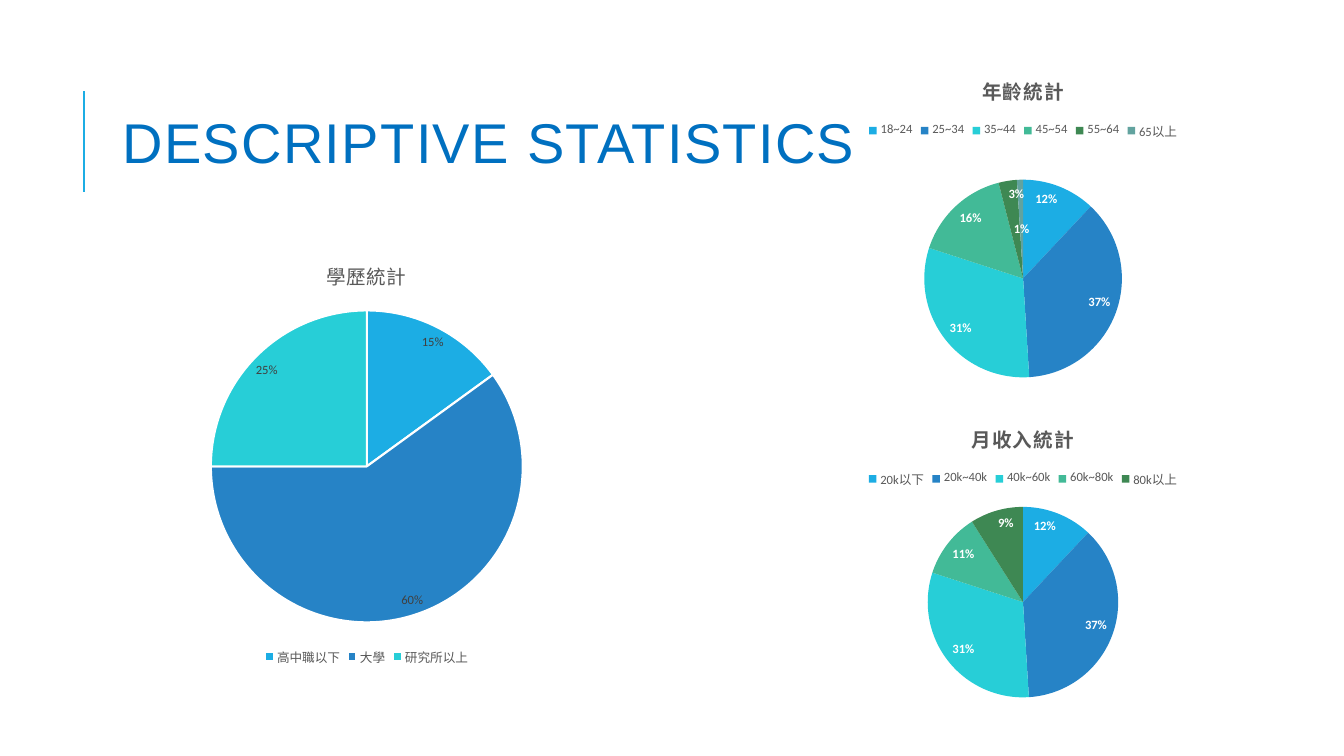
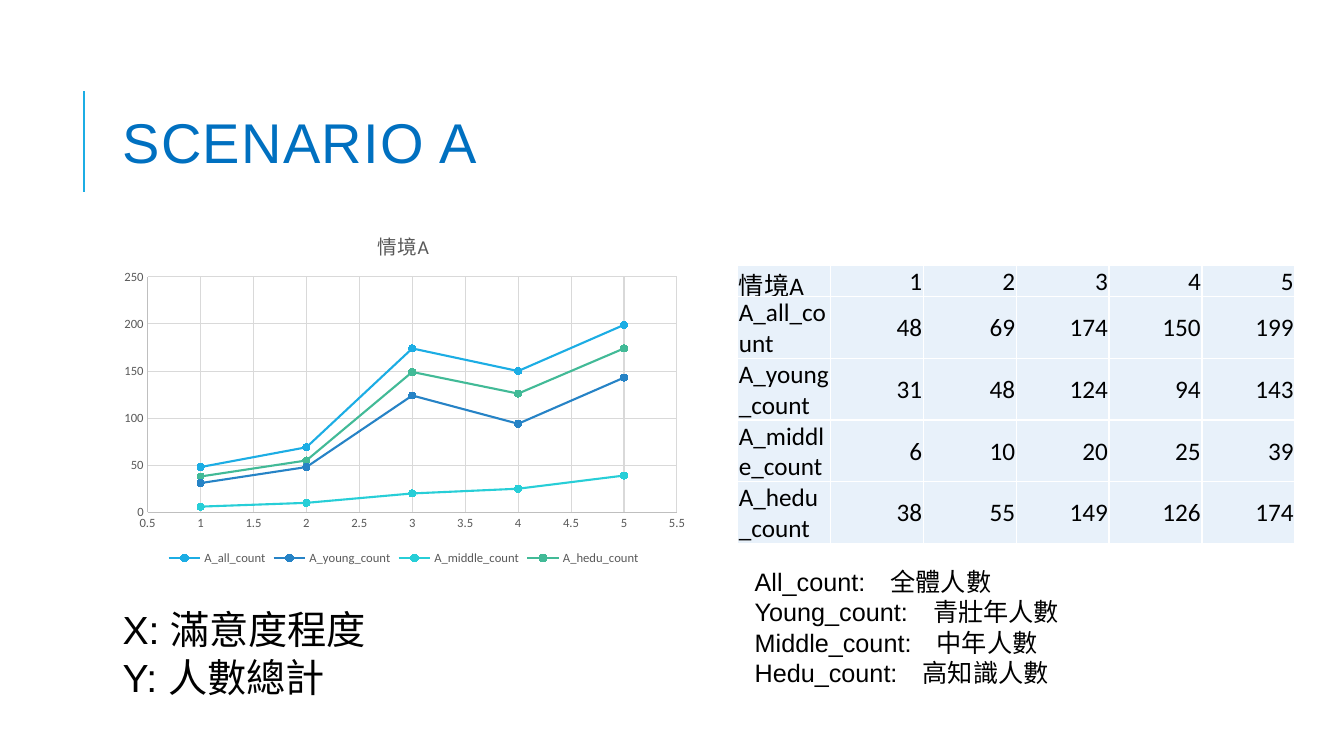
from lxml import etree
from pptx import Presentation
from pptx import util as u
from pptx.chart import data
from pptx.dml.color import RGBColor
from pptx.enum import chart as kinds, shapes, text
from pptx.oxml.ns import qn

HUES = ["1CADE4", "2683C6", "27CED7", "42BA97", "3E8853", "62A39F"]
BLUE, GREY, DARK, BLACK, WHITE = "0070C0", "595959", "404040", "000000", "FFFFFF"
AXIS, GRID, PALE = "BFBFBF", "D9D9D9", "E8F1FA"
PLACE = kinds.XL_LABEL_POSITION
SIDE = kinds.XL_LEGEND_POSITION


def rgb(hue):
    return RGBColor.from_string(hue)


def put(item, **vals):
    for key, val in vals.items():
        setattr(item, key, val)


def cms(*sizes):
    return [u.Cm(size) for size in sizes]


def font(item, size, hue, bold=False, name="Calibri"):
    put(item, size=u.Pt(size), bold=bold, name=name)
    item.color.rgb = rgb(hue)


def fill(item, hue):
    item.solid()
    item.fore_color.rgb = rgb(hue)


def stroke(line, hue, width):
    line.color.rgb = rgb(hue)
    line.width = u.Pt(width)


def space(root, query, points):
    """Set the letter spacing of the matching runs."""
    for run in root.xpath(query):
        run.set("spc", str(int(points * 100)))


class Deck:
    def __init__(self):
        self.show = Presentation()
        put(self.show, slide_width=u.Cm(33.87), slide_height=u.Cm(19.05))

    # Slide with side rule and heading
    def page(self, title):
        self.slide = self.show.slides.add_slide(self.show.slide_layouts[6])
        rule = self.slide.shapes.add_connector(
            shapes.MSO_CONNECTOR.STRAIGHT, *cms(2.11, 4.83, 2.11, 2.29))
        stroke(rule.line, HUES[0], 1.5)
        etree.SubElement(rule.element.xpath("./p:spPr")[0], qn("a:effectLst"))
        box = self.words([title], (2.84, 1.63, 27, 4.17), 40, BLUE)
        put(box.text_frame, vertical_anchor=text.MSO_ANCHOR.MIDDLE,
            auto_size=text.MSO_AUTO_SIZE.NONE)
        box.text_frame.paragraphs[0].line_spacing = 0.8
        space(box.element, ".//a:rPr", 1)

    # Text box, one paragraph a line
    def words(self, lines, at, size, hue=BLACK):
        box = self.slide.shapes.add_textbox(*cms(*at))
        frame = box.text_frame
        put(frame, word_wrap=True, auto_size=text.MSO_AUTO_SIZE.SHAPE_TO_FIT_TEXT)
        for num, line in enumerate(lines):
            para = frame.add_paragraph() if num else frame.paragraphs[0]
            run = para.add_run()
            run.text = line
            font(run.font, size, hue, name="Arial")
        return box

    # Chart frame with title, legend and plot area
    def chart(self, kind, source, at, title, plot, side, bold=False):
        chart = self.slide.shapes.add_chart(kind, *cms(*at), source).chart
        font(chart.font, 10, BLACK)
        put(chart, has_title=True, has_legend=True)
        head = chart.chart_title.text_frame
        head.text = title
        font(head.paragraphs[0].runs[0].font, 14, GREY, bold)
        space(chart.element, ".//c:title//a:rPr", 0.5 if bold else 0)
        put(chart.legend, position=side, include_in_layout=False)
        font(chart.legend.font, 9, GREY)
        area = chart.element.xpath(".//c:plotArea")[0]
        for old in area.xpath("./c:layout"):
            area.remove(old)
        layout = etree.Element(qn("c:layout"))
        area.insert(0, layout)
        manual = etree.SubElement(layout, qn("c:manualLayout"))
        pairs = zip(("layoutTarget", "xMode", "yMode", "x", "y", "w", "h"),
                    ("inner", "edge", "edge", *plot))
        for key, val in pairs:
            etree.SubElement(manual, qn("c:" + key)).set("val", str(val))
        return chart

    # Pie with labels
    def pie(self, title, at, plot, shares, side=SIDE.TOP, hue=WHITE, bold=True,
            place=PLACE.INSIDE_END, whole=True, edge=False):
        source = data.CategoryChartData()
        source.categories = list(shares)
        source.add_series("Series 1", list(shares.values()))
        chart = self.chart(kinds.XL_CHART_TYPE.PIE, source, at, title, plot,
                           side, bold)
        chart.plots[0].vary_by_categories = True
        series = chart.plots[0].series[0]
        for num in range(len(shares)):
            form = series.points[num].format
            fill(form.fill, HUES[num])
            if edge:
                stroke(form.line, WHITE, 1.5)
            else:
                form.line.fill.background()
        labels = series.data_labels
        put(labels, show_value=not whole, show_percentage=whole, position=place,
            number_format="0%", number_format_is_linked=False)
        font(labels.font, 9, hue, bold)
        return chart

    # Smooth scatter chart
    def curves(self, title, at, plot, xs, rows):
        source = data.XyChartData()
        for name, vals in rows.items():
            series = source.add_series(name)
            for x, y in zip(xs, vals):
                series.add_data_point(x, y)
        chart = self.chart(kinds.XL_CHART_TYPE.XY_SCATTER_SMOOTH, source, at,
                           title, plot, SIDE.BOTTOM)
        for series, hue in zip(chart.plots[0].series, HUES):
            series.smooth = True
            stroke(series.format.line, hue, 1.5)
            put(series.marker, style=kinds.XL_MARKER_STYLE.CIRCLE, size=5)
            fill(series.marker.format.fill, hue)
            stroke(series.marker.format.line, hue, 0.75)
        scales = ((chart.category_axis, 0.5, 5.5, 0.5),
                  (chart.value_axis, 0, 250, 50))
        for axis, low, high, step in scales:
            put(axis, minimum_scale=low, maximum_scale=high, major_unit=step,
                has_major_gridlines=True,
                major_tick_mark=kinds.XL_TICK_MARK.NONE,
                minor_tick_mark=kinds.XL_TICK_MARK.NONE)
            stroke(axis.format.line, AXIS, 0.75)
            stroke(axis.major_gridlines.format.line, GRID, 0.75)
            font(axis.tick_labels.font, 9, GREY)
            put(axis.tick_labels, number_format="General",
                number_format_is_linked=False)

    # Table with white cell borders
    def table(self, rows, left, top, wide, highs):
        count = len(rows[0])
        frame = self.slide.shapes.add_table(
            len(rows), count, *cms(left, top, wide * count, sum(highs)))
        table = frame.table
        put(table, first_row=False, horz_banding=False)
        for col in table.columns:
            col.width = u.Cm(wide)
        for y, row in enumerate(rows):
            table.rows[y].height = u.Cm(highs[y])
            for x, val in enumerate(row):
                cell = table.cell(y, x)
                put(cell, margin_left=u.Cm(0.03), margin_right=u.Cm(0.03),
                    margin_top=u.Cm(0.03), margin_bottom=0,
                    vertical_anchor=text.MSO_ANCHOR.MIDDLE)
                fill(cell.fill, PALE)
                para = cell.text_frame.paragraphs[0]
                para.alignment = text.PP_ALIGN.RIGHT if x else text.PP_ALIGN.LEFT
                run = para.add_run()
                run.text = str(val)
                font(run.font, 18, BLACK)
        for props in frame.element.xpath(".//a:tcPr"):
            for num, edge in enumerate("LRTB"):
                line = etree.Element(qn("a:ln" + edge), w=str(u.Pt(1)))
                solid = etree.SubElement(line, qn("a:solidFill"))
                etree.SubElement(solid, qn("a:srgbClr"), val=WHITE)
                props.insert(num, line)


def main():
    deck = Deck()

    # Descriptive statistics
    deck.page("DESCRIPTIVE STATISTICS")
    deck.pie("學歷統計", (2.64, 6.1, 13.21, 10.77), (0.2, 0.16, 0.6, 0.73),
             {"高中職以下": 0.15, "大學": 0.6, "研究所以上": 0.25},
             side=SIDE.BOTTOM, hue=DARK, bold=False, place=PLACE.BEST_FIT,
             whole=False, edge=True)
    ages = deck.pie("年齡統計", (19.23, 1.47, 13.11, 8.41), (0.31, 0.36, 0.38, 0.6),
                    {"18~24": 12, "25~34": 37, "35~44": 31, "45~54": 16,
                     "55~64": 3, "65以上": 1})
    # The thinnest slice carries its label further in
    label = ages.plots[0].series[0].points[5].data_label
    font(label.font, 9, WHITE, True)
    label.position = PLACE.CENTER
    for key, val in {"showVal": "0", "showPercent": "1"}.items():
        ages.element.xpath(f".//c:dLbl/c:{key}")[0].set("val", val)
    deck.pie("月收入統計", (19.43, 10.26, 12.7, 7.62), (0.31, 0.33, 0.38, 0.63),
             {"20k以下": 12, "20k~40k": 37, "40k~60k": 31, "60k~80k": 11,
              "80k以上": 9})

    # Scenario A
    deck.page("SCENARIO A")
    steps = [1, 2, 3, 4, 5]
    counts = {"A_all_count": [48, 69, 174, 150, 199],
              "A_young_count": [31, 48, 124, 94, 143],
              "A_middle_count": [6, 10, 20, 25, 39],
              "A_hedu_count": [38, 55, 149, 126, 174]}
    deck.words(["X: 滿意度程度", "Y: 人數總計"], (2.84, 15.14, 10.49, 2.64), 28)
    rows = [["情境A", *steps]] + [[name, *vals] for name, vals in counts.items()]
    deck.table(rows, 18.59, 6.68, 2.34, [0.79] + [1.42] * len(counts))
    deck.words(["All_count:　全體人數", "Young_count:　青壯年人數",
                "Middle_count:　中年人數", "Hedu_count:　高知識人數"],
               (18.77, 14.15, 13.39, 3.33), 18)
    deck.curves("情境A", (2.84, 5.36, 14.66, 8.99), (0.06, 0.18, 0.91, 0.66),
                steps, counts)

    deck.show.save("out.pptx")


if __name__ == "__main__":
    main()
